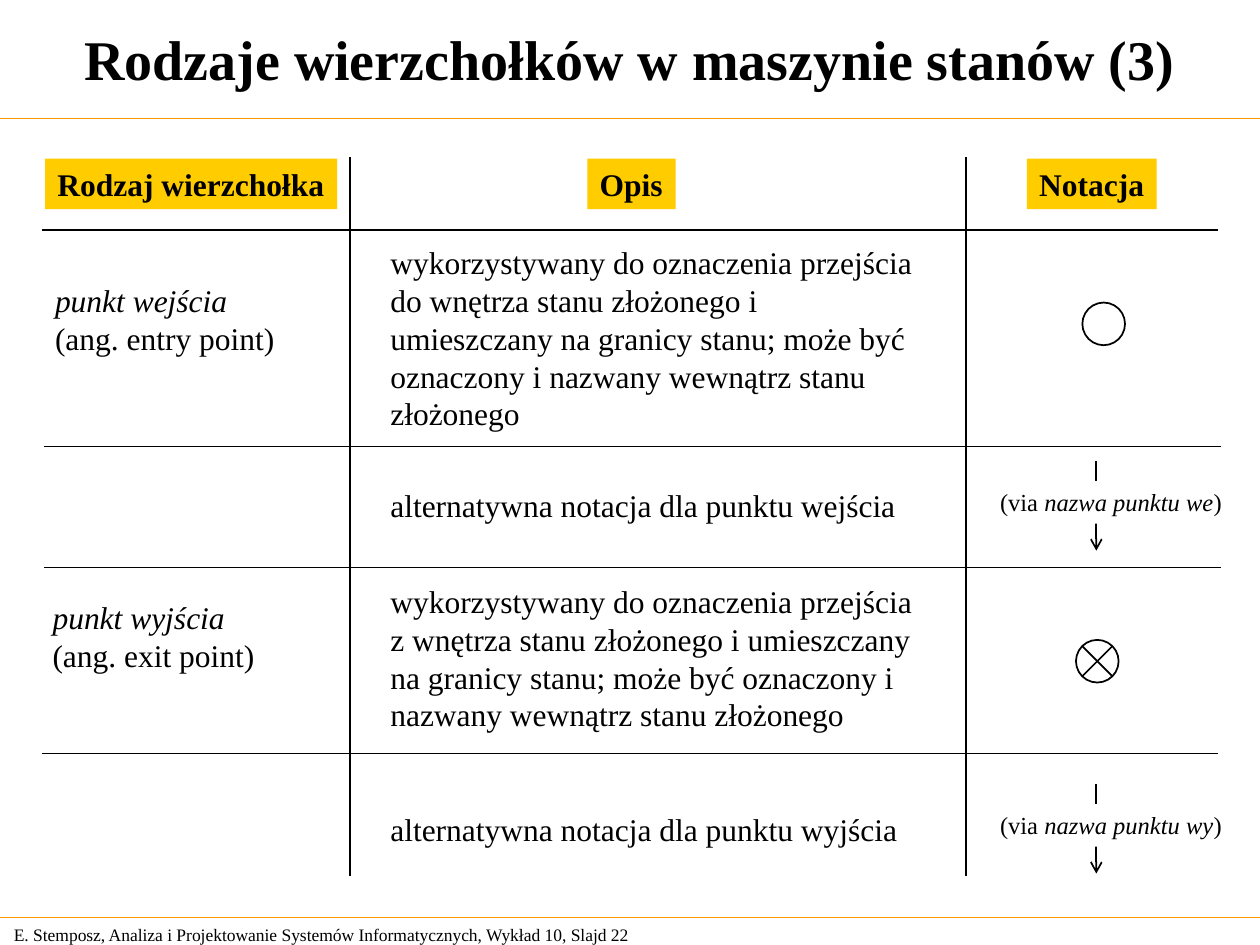
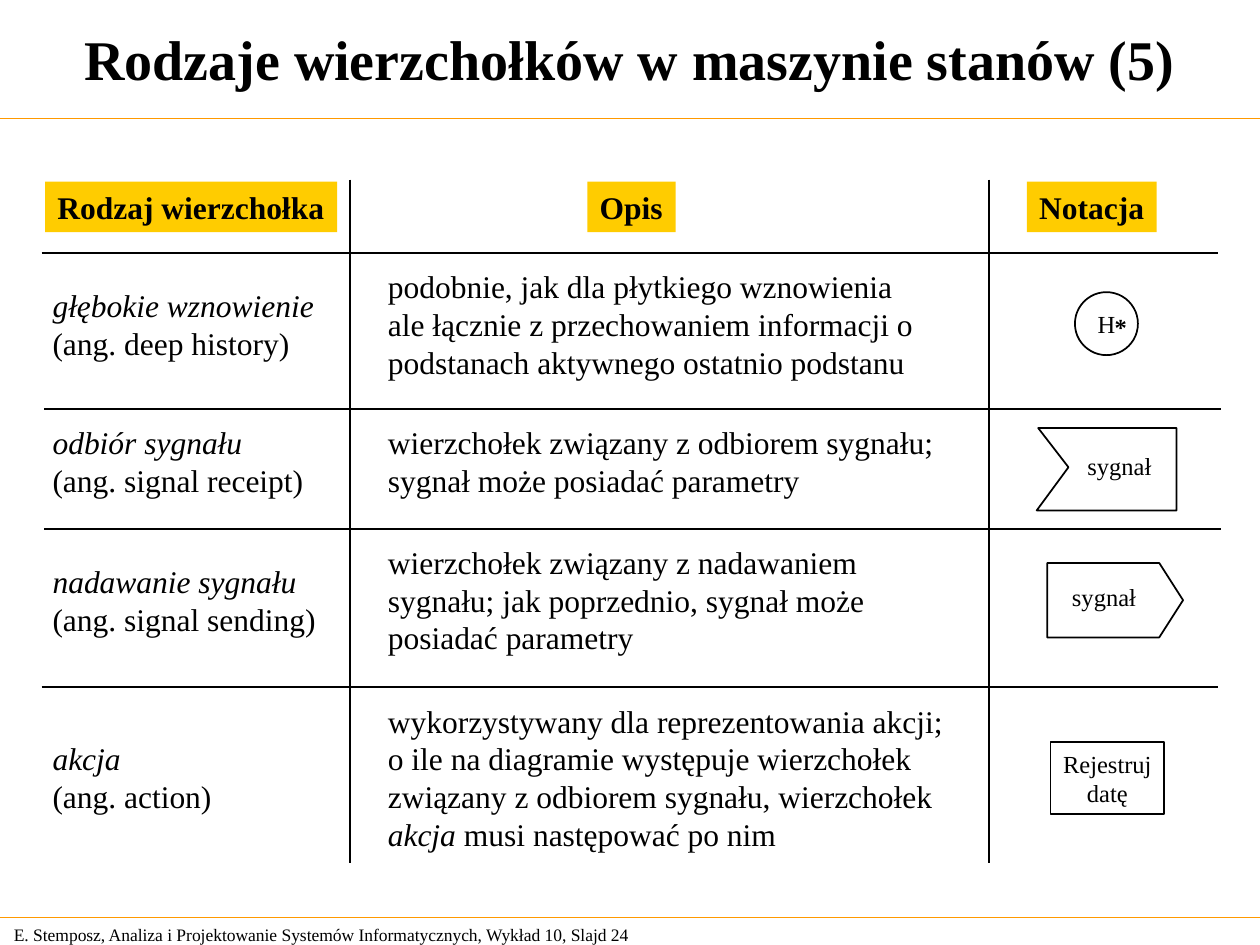
from lxml.etree import SubElement
from pptx import Presentation
from pptx.dml.color import RGBColor
from pptx.enum.shapes import MSO_CONNECTOR, MSO_SHAPE
from pptx.enum.text import MSO_ANCHOR, MSO_AUTO_SIZE, PP_ALIGN
from pptx.oxml.ns import qn
from pptx.util import Cm, Pt

BLACK, WHITE, YELLOW, ORANGE = "000000", "FFFFFF", "FFCC00", "FF9900"
FONT = "Times New Roman"
CENTRED = {"align": PP_ALIGN.CENTER, "anchor": MSO_ANCHOR.MIDDLE}
LABEL_HEIGHT = 0.86
HEADERS = (("Rodzaj wierzchołka", 0.91, 5.89), ("Opis", 11.84, 1.78), ("Notacja", 20.7, 2.62))

# names: text, left, top, width; descriptions: text, top, width, number of lines
PAGES = (
    {
        "part": 3, "number": 22, "header_top": 3.2, "bottom": 17.65,
        "rules": (4.64, 9, 11.44, 15.19), "notation_left": 19.48, "description_left": 7.62,
        "names": (
            ("_punkt wejścia_\n(ang. entry point)", 0.86, 5.54, 4.93),
            ("_punkt wyjścia_\n(ang. exit point)", 0.81, 11.94, 4.57),
        ),
        "descriptions": (
            ("wykorzystywany do oznaczenia przejścia do wnętrza stanu złożonego i umieszczany "
             "na granicy stanu; może być oznaczony i nazwany wewnątrz stanu złożonego",
             4.78, 11.13, 5),
            ("alternatywna notacja dla punktu wejścia", 9.68, 11.13, 1),
            ("wykorzystywany do oznaczenia przejścia z wnętrza stanu złożonego i umieszczany "
             "na granicy stanu; może być oznaczony i nazwany wewnątrz stanu złożonego",
             11.61, 11.13, 4),
            ("alternatywna notacja dla punktu wyjścia", 16.21, 11.13, 1),
        ),
    },
    {
        "part": 5, "number": 24, "header_top": 3.66, "bottom": 17.4,
        "rules": (5.1, 8.24, 10.66, 13.85), "notation_left": 19.94, "description_left": 7.57,
        "names": (
            ("_głębokie wznowienie_\n(ang. deep history)", 0.81, 5.64, 5.77),
            ("_odbiór sygnału_\n(ang. signal receipt)", 0.81, 8.41, 5.56),
            ("_nadawanie sygnału_\n(ang. signal sending)", 0.81, 11.2, 5.82),
            ("_akcja_\n(ang. action)", 0.81, 14.78, 3.71),
        ),
        "descriptions": (
            ("podobnie, jak dla płytkiego wznowienia ale łącznie z przechowaniem informacji o "
             "podstanach aktywnego ostatnio podstanu", 5.26, 11.13, 3),
            ("wierzchołek związany z odbiorem sygnału; sygnał może posiadać parametry",
             8.41, 11.73, 2),
            ("wierzchołek związany z nadawaniem sygnału; jak poprzednio, sygnał może "
             "posiadać parametry", 10.82, 11.73, 3),
            ("wykorzystywany dla reprezentowania akcji; o ile na diagramie występuje "
             "wierzchołek związany z odbiorem sygnału, wierzchołek _akcja _musi następować "
             "po nim", 14.02, 11.73, 4),
        ),
    },
)


def dress(shape, text="", size=18, bold=False, fill=None, line=None, wrap=False,
          align=PP_ALIGN.LEFT, anchor=MSO_ANCHOR.TOP):
    """Format a shape and write its text; underscores enclose italics."""
    shape.shadow.inherit = False
    if fill:
        shape.fill.solid()
        shape.fill.fore_color.rgb = RGBColor.from_string(fill)
    else:
        shape.fill.background()
    if line:
        shape.line.color.rgb = RGBColor.from_string(line)
        shape.line.width = Pt(1)
    else:
        shape.line.fill.background()
    if not text:
        return
    frame = shape.text_frame
    frame_format = {"auto_size": MSO_AUTO_SIZE.NONE, "word_wrap": wrap, "vertical_anchor": anchor}
    for name, value in frame_format.items():
        setattr(frame, name, value)
    for index, content in enumerate(text.split("\n")):
        para = frame.add_paragraph() if index else frame.paragraphs[0]
        para.alignment = align
        for position, part in enumerate(content.split("_")):
            if not part:
                continue
            span = para.add_run()
            span.text = part
            font_format = {"name": FONT, "size": Pt(size), "bold": bold, "italic": position % 2 == 1}
            for name, value in font_format.items():
                setattr(span.font, name, value)
            span.font.color.rgb = RGBColor.from_string(BLACK)


def draw_line(page, *ends, colour=BLACK, width=1, arrow=False):
    connector = page.shapes.add_connector(MSO_CONNECTOR.STRAIGHT, *map(Cm, ends))
    connector.line.color.rgb = RGBColor.from_string(colour)
    connector.line.width = Pt(width)
    properties = connector.element.spPr
    if arrow:
        SubElement(properties.find(qn("a:ln")), qn("a:tailEnd"), type="arrow")
    SubElement(properties, qn("a:effectLst"))


deck = Presentation()
deck.slide_width, deck.slide_height = Cm(25.4), Cm(19.05)
pages = []

# Title, bands, footer and the grid of both pages
for content in PAGES:
    page = deck.slides.add_slide(deck.slide_layouts[5])
    pages.append(page)
    title = page.shapes.title
    title.left, title.top, title.width, title.height = map(Cm, (0, 0, 25.4, 2.34))
    dress(title, f"Rodzaje wierzchołków w maszynie stanów ({content['part']})", 32, True,
          wrap=True, **CENTRED)
    for top in (2.39, 18.49):
        draw_line(page, 0, top, 25.4, top, colour=ORANGE, width=0.75)
    footer = page.shapes.add_textbox(*map(Cm, (0.03, 18.49, 13.31, 0.69)))
    dress(footer, "E. Stemposz, Analiza i Projektowanie Systemów Informatycznych, "
          f"Wykład 10, Slajd {content['number']}", 10, wrap=True, anchor=MSO_ANCHOR.MIDDLE)

    header_top = content["header_top"]
    for text, left, width in HEADERS:
        header = page.shapes.add_shape(
            MSO_SHAPE.RECTANGLE, *map(Cm, (left, header_top, width, 1.02)))
        dress(header, text, bold=True, fill=YELLOW)
    for left, top in zip((0.84, 0.89, 0.89, 0.84), content["rules"]):
        draw_line(page, left, top, left + 23.72, top)
    for left in (7.06, content["notation_left"]):
        draw_line(page, left, header_top - 0.04, left, content["bottom"])

    for text, left, top, width in content["names"]:
        box = page.shapes.add_textbox(*map(Cm, (left, top, width, 1.78)))
        dress(box, text)
    for text, top, width, lines in content["descriptions"]:
        height = 0.25 + 0.76 * lines
        box = page.shapes.add_textbox(
            *map(Cm, (content["description_left"], top, width, height)))
        dress(box, text, wrap=True)

points_page, signals_page = pages

# Entry and exit points
entry = points_page.shapes.add_shape(MSO_SHAPE.OVAL, *map(Cm, (21.82, 6.1, 0.86, 0.86)))
dress(entry, fill=WHITE, line=BLACK)
exit_point = points_page.shapes.add_shape(
    MSO_SHAPE.FLOWCHART_OR, *map(Cm, (21.69, 12.9, 0.86, 0.86)))
exit_point.rotation = 45
dress(exit_point, line=BLACK)
for ending, top in (("we", 9.7), ("wy", 16.21)):
    draw_line(points_page, 22.1, top - 0.4, 22.1, top + 1.4, arrow=True)
    label = points_page.shapes.add_shape(
        MSO_SHAPE.RECTANGLE, *map(Cm, (19.91, top, 4.98, LABEL_HEIGHT)))
    dress(label, f"(via _nazwa punktu {ending}_)", 14, fill=WHITE)

# Deep history, signals and action
history = signals_page.shapes.add_shape(MSO_SHAPE.OVAL, *map(Cm, (21.67, 5.89, 1.27, 1.27)))
dress(history, "H", 14, fill=WHITE, line=BLACK, **CENTRED)
star = signals_page.shapes.add_textbox(*map(Cm, (22.22, 6.17, 0.76, LABEL_HEIGHT)))
dress(star, "*", 14, bold=True)

SIGNALS = (
    (((20.93, 8.63), (23.72, 8.63), (23.72, 10.29), (20.9, 10.29), (21.54, 9.42)), 21.67, 8.97),
    (((21.11, 11.35), (23.37, 11.35), (23.85, 12.1), (23.37, 12.85), (21.11, 12.85)), 21.36, 11.61),
)
for corners, left, top in SIGNALS:
    points = [(Cm(x), Cm(y)) for x, y in corners]
    builder = signals_page.shapes.build_freeform(*points[0])
    builder.add_line_segments(points[1:], close=True)
    dress(builder.convert_to_shape(), line=BLACK)
    label = signals_page.shapes.add_textbox(*map(Cm, (left, top, 1.8, LABEL_HEIGHT)))
    dress(label, "sygnał", 14)

action = signals_page.shapes.add_shape(
    MSO_SHAPE.RECTANGLE, *map(Cm, (21.18, 14.96, 2.29, 1.45)))
dress(action, "Rejestruj\ndatę", 14, line=BLACK, **CENTRED)

deck.save("out.pptx")
